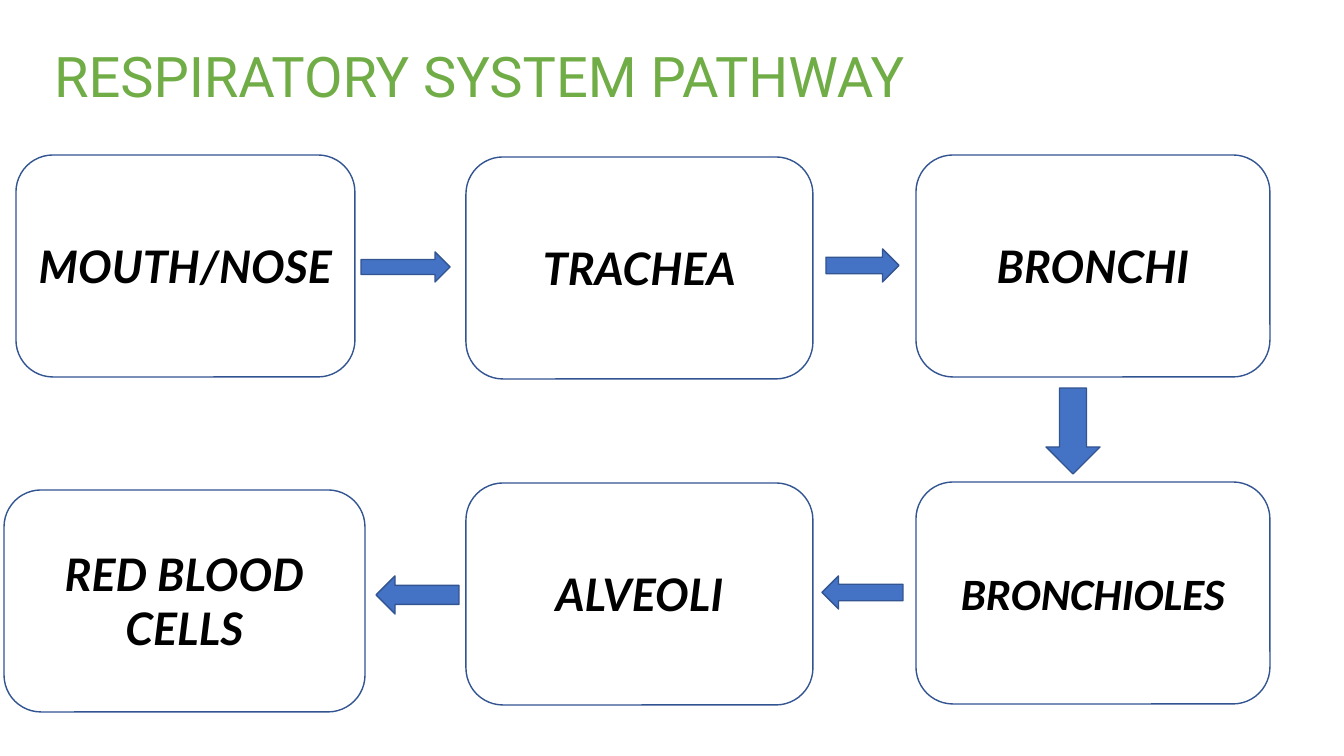
from pptx import Presentation
from pptx.dml.color import RGBColor
from pptx.enum.shapes import MSO_SHAPE as Preset
from pptx.enum.text import MSO_ANCHOR as Anchor, MSO_AUTO_SIZE as AutoSize, PP_ALIGN as Align
from pptx.util import Emu, Pt

EMU_PER_PX = 914400 / 100.8
COLORS = {
    "title": "70AD47",
    "box": "FFFFFF",
    "outline": "325491",
    "arrow": "4472C4",
    "label": "000000",
}
BOX_HEIGHT = 222

# label, left, top, width, font
STAGES = [
    ("MOUTH/NOSE", 16, 155, 339, "Lato"),
    ("TRACHEA", 466, 157, 347, "Lato"),
    ("BRONCHI", 916, 155, 354, "Lato"),
    ("BRONCHIOLES", 916, 482, 354, "Calibri"),
    ("ALVEOLI", 466, 483, 347, "Lato"),
    ("RED BLOOD CELLS", 4, 490, 361, "Lato"),
]

# preset, left, top, width, height
ARROWS = [
    (Preset.RIGHT_ARROW, 361, 252, 89, 30),
    (Preset.RIGHT_ARROW, 826, 249, 73, 33),
    (Preset.DOWN_ARROW, 1046, 388, 54, 86),
    (Preset.LEFT_ARROW, 822, 576, 81, 33),
    (Preset.LEFT_ARROW, 376, 576, 83, 38),
]


def px(length):
    return Emu(round(length * EMU_PER_PX))


def color(name):
    return RGBColor.from_string(COLORS[name])


class PathwaySlide:
    """Holds the slide and draws its elements in one style."""

    def __init__(self, presentation):
        self.slide = presentation.slides.add_slide(presentation.slide_layouts[5])

    def text_run(self, paragraph, text, size, font_name, color_name, emphasis=None):
        run = paragraph.add_run()
        run.text = text
        font = run.font
        font.size = Pt(size)
        font.name = font_name
        font.bold = font.italic = emphasis
        font.color.rgb = color(color_name)

    def title(self, text, left, top, width, height):
        shape = self.slide.shapes.title
        shape.left, shape.top = px(left), px(top)
        shape.width, shape.height = px(width), px(height)
        frame = shape.text_frame
        frame.word_wrap = True
        frame.auto_size = AutoSize.SHAPE_TO_FIT_TEXT
        frame.vertical_anchor = Anchor.TOP
        paragraph = frame.paragraphs[0]
        paragraph.alignment = Align.LEFT
        self.text_run(paragraph, text, 40, "Roboto", "title")

    def shape(self, preset, left, top, width, height, fill):
        shape = self.slide.shapes.add_shape(preset, px(left), px(top), px(width), px(height))
        shape.shadow.inherit = False
        shape.fill.solid()
        shape.fill.fore_color.rgb = color(fill)
        shape.line.color.rgb = color("outline")
        shape.line.width = Pt(1)
        return shape

    def stage(self, label, left, top, width, font_name):
        box = self.shape(Preset.ROUNDED_RECTANGLE, left, top, width, BOX_HEIGHT, "box")
        frame = box.text_frame
        frame.word_wrap = True
        frame.vertical_anchor = Anchor.MIDDLE
        paragraph = frame.paragraphs[0]
        paragraph.alignment = Align.CENTER
        self.text_run(paragraph, label, 32, font_name, "label", emphasis=True)

    def arrow(self, preset, left, top, width, height):
        self.shape(preset, left, top, width, height, "arrow")


def main():
    presentation = Presentation()
    presentation.slide_width, presentation.slide_height = px(1344), px(756)
    pathway = PathwaySlide(presentation)
    pathway.title("RESPIRATORY SYSTEM PATHWAY", 44, 36, 1119, 78)
    for stage in STAGES:
        pathway.stage(*stage)
    for arrow in ARROWS:
        pathway.arrow(*arrow)
    presentation.save("out.pptx")


if __name__ == "__main__":
    main()
